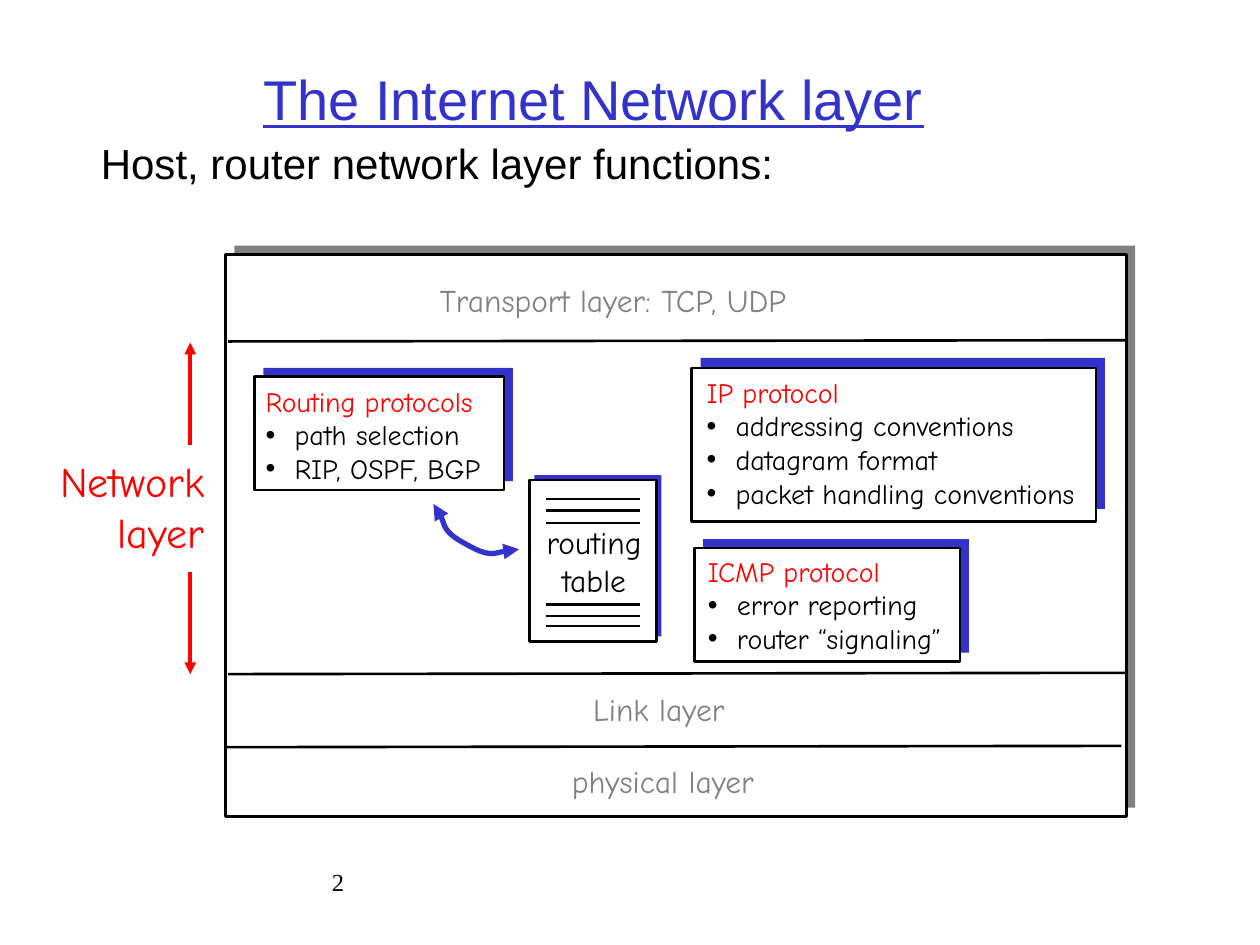
from dataclasses import dataclass

from lxml import etree
from pptx import Presentation
from pptx.dml.color import RGBColor
from pptx.enum.dml import MSO_LINE
from pptx.enum.shapes import MSO_CONNECTOR, MSO_SHAPE
from pptx.enum.text import MSO_ANCHOR, MSO_AUTO_SIZE, PP_ALIGN
from pptx.oxml.ns import qn
from pptx.util import Inches, Pt

RECT = MSO_SHAPE.RECTANGLE
STRAIGHT = MSO_CONNECTOR.STRAIGHT
SOLID = MSO_LINE.SOLID
LEFT, CENTER, RIGHT = PP_ALIGN.LEFT, PP_ALIGN.CENTER, PP_ALIGN.RIGHT


@dataclass(frozen=True)
class Theme:
    blue: RGBColor = RGBColor(0x33, 0x33, 0xCC)
    red: RGBColor = RGBColor(0xFF, 0, 0)
    gray: RGBColor = RGBColor(0x80, 0x80, 0x80)
    black: RGBColor = RGBColor(0, 0, 0)
    white: RGBColor = RGBColor(0xFF, 0xFF, 0xFF)
    heading_font: str = "Arial"
    label_font: str = "Comic Neue"
    number_font: str = "Times New Roman"
    title: int = 32
    large: int = 24
    label: int = 18
    card: int = 16
    number: int = 14
    line: float = 1.5
    arrow: float = 2.25
    curve: float = 3


T = Theme()


def write(tf, lines, size, color, font=T.label_font, align=LEFT):
    for i, text in enumerate(lines):
        p = tf.paragraphs[0] if i == 0 else tf.add_paragraph()
        p.alignment = align
        r = p.add_run()
        r.text = text
        r.font.size, r.font.name = Pt(size), font
        r.font.color.rgb = color


def add_line(x1, y1, x2, y2, color=T.black, width=T.line):
    ln = s.shapes.add_connector(STRAIGHT, Inches(x1), Inches(y1), Inches(x2), Inches(y2))
    ln.line.color.rgb, ln.line.width = color, Pt(width)
    etree.SubElement(ln._element.spPr, qn("a:effectLst"))
    return ln


prs = Presentation()
prs.slide_width, prs.slide_height = Inches(10), Inches(7.5)
s = prs.slides.add_slide(prs.slide_layouts[1])

# Title and subtitle
title, body = s.shapes.title, s.placeholders[1]
for sp, box in ((title, (0.46, 0.15, 8.5, 1.25)), (body, (0.7, 1.04, 8.24, 0.48))):
    sp.left, sp.top, sp.width, sp.height = map(Inches, box)
    sp.text_frame.auto_size = MSO_AUTO_SIZE.NONE
title.text_frame.vertical_anchor = MSO_ANCHOR.MIDDLE
write(title.text_frame, ["The Internet Network layer"], T.title, T.blue, T.heading_font, CENTER)
title.text_frame.paragraphs[0].runs[0].font.underline = True
write(body.text_frame, ["Host, router network layer functions:"], T.large, T.black, T.heading_font)
pPr = body.text_frame.paragraphs[0]._p.get_or_add_pPr()
pPr.set("marL", str(Inches(0.38)))
pPr.set("indent", str(Inches(-0.38)))
etree.SubElement(pPr, qn("a:buNone"))

# Boxes, each on an offset backing: left, top, width, height, dx, dy, backing height, colour
boxes = [
    (1.79, 2.02, 7.15, 4.46, 0.07, -0.07, 4.46, T.gray),
    (4.2, 3.81, 1.01, 1.28, 0.04, -0.04, 1.28, T.blue),
    (2.02, 2.99, 1.98, 0.9, 0.07, -0.07, 0.9, T.blue),
    (5.49, 2.92, 3.21, 1.22, 0.07, -0.08, 1.2, T.blue),
    (5.51, 4.35, 2.11, 0.9, 0.07, -0.07, 0.9, T.blue),
]
for x, y, w, h, dx, dy, back_h, color in boxes:
    back = s.shapes.add_shape(RECT, Inches(x + dx), Inches(y + dy), Inches(w), Inches(back_h))
    front = s.shapes.add_shape(RECT, Inches(x), Inches(y), Inches(w), Inches(h))
    for sp, fill in ((back, color), (front, T.white)):
        sp.shadow.inherit = False
        sp.fill.solid()
        sp.fill.fore_color.rgb = fill
    back.line.fill.background()
    front.line.color.rgb, front.line.width = T.black, Pt(T.line)

# Layer dividers and the ruled lines of the routing table
for x1, y, x2 in ((1.81, 2.71, 8.95), (1.81, 5.35, 8.95), (1.78, 5.93, 8.9)):
    add_line(x1, y, x2, y - 0.01)
for y in (3.96, 4.05, 4.15, 4.8, 4.89, 4.97):
    add_line(4.33, y, 5.08, y)

# Plain labels
labels = [
    ((4.2, 4.1, 1.03, 0.7), ["routing", "table"], T.label, T.black, CENTER),
    ((3.39, 2.18, 3.27, 0.4), ["Transport layer: TCP, UDP"], T.label, T.gray, LEFT),
    ((4.61, 5.43, 1.33, 0.4), ["Link layer"], T.label, T.gray, LEFT),
    ((4.44, 6, 1.78, 0.4), ["physical layer"], T.label, T.gray, LEFT),
    ((0.17, 3.57, 1.55, 0.9), ["Network", "layer"], T.large, T.red, RIGHT),
]
for box, lines, size, color, align in labels:
    tf = s.shapes.add_textbox(*map(Inches, box)).text_frame
    tf.word_wrap, tf.auto_size = False, MSO_AUTO_SIZE.SHAPE_TO_FIT_TEXT
    write(tf, lines, size, color, align=align)

# Protocol cards: red heading, then bullets
cards = [
    ((2.01, 3, 2, 0.9), ["Routing protocols", "path selection", "RIP, OSPF, BGP"]),
    ((5.51, 2.93, 3.16, 1.17),
     ["IP protocol", "addressing conventions", "datagram format", "packet handling conventions"]),
    ((5.52, 4.35, 2.08, 0.9), ["ICMP protocol", "error reporting", "router “signaling”"]),
]
for box, lines in cards:
    tf = s.shapes.add_textbox(*map(Inches, box)).text_frame
    tf.word_wrap, tf.auto_size = False, MSO_AUTO_SIZE.SHAPE_TO_FIT_TEXT
    write(tf, lines, T.card, T.black)
    tf.paragraphs[0].runs[0].font.color.rgb = T.red
    for p in tf.paragraphs[1:]:
        pPr = p._p.get_or_add_pPr()
        pPr.set("marL", str(Inches(0.23)))
        pPr.set("indent", str(Inches(-0.23)))
        etree.SubElement(pPr, qn("a:buFont"), typeface=T.heading_font)
        etree.SubElement(pPr, qn("a:buChar"), char="•")

# Double-headed curve: each three segments become one cubic Bézier
start, *points = [(3.44, 4), (3.49, 4.03), (3.51, 4.22), (3.7, 4.32),
                  (3.89, 4.43), (4.04, 4.36), (4.12, 4.36)]
fb = s.shapes.build_freeform(Inches(start[0]), Inches(start[1]))
fb.add_line_segments([(Inches(x), Inches(y)) for x, y in points], close=False)
curve = fb.convert_to_shape()
curve.shadow.inherit = False
curve.fill.background()
curve.line.color.rgb, curve.line.width = T.blue, Pt(T.curve)
curve.line.dash_style = SOLID
segments = list(curve._element.iter(qn("a:lnTo")))
path_xml = segments[0].getparent()
for i in range(0, len(segments), 3):
    bezier = etree.SubElement(path_xml, qn("a:cubicBezTo"))
    for segment in segments[i:i + 3]:
        bezier.append(segment[0])
        path_xml.remove(segment)
for end in ("a:headEnd", "a:tailEnd"):
    etree.SubElement(curve.line._get_or_add_ln(), qn(end), type="triangle")

# Extent of the network layer
for y1, y2 in ((3.53, 2.72), (4.54, 5.35)):
    arrow = add_line(1.51, y1, 1.51, y2, T.red, T.arrow)
    etree.SubElement(arrow.line._get_or_add_ln(), qn("a:tailEnd"), type="triangle")

# Slide number
tf = s.shapes.add_textbox(Inches(0.75), Inches(6.83), Inches(2.08), Inches(0.5)).text_frame
tf.word_wrap = True
write(tf, ["2"], T.number, T.black, T.number_font, RIGHT)

prs.save("out.pptx")
